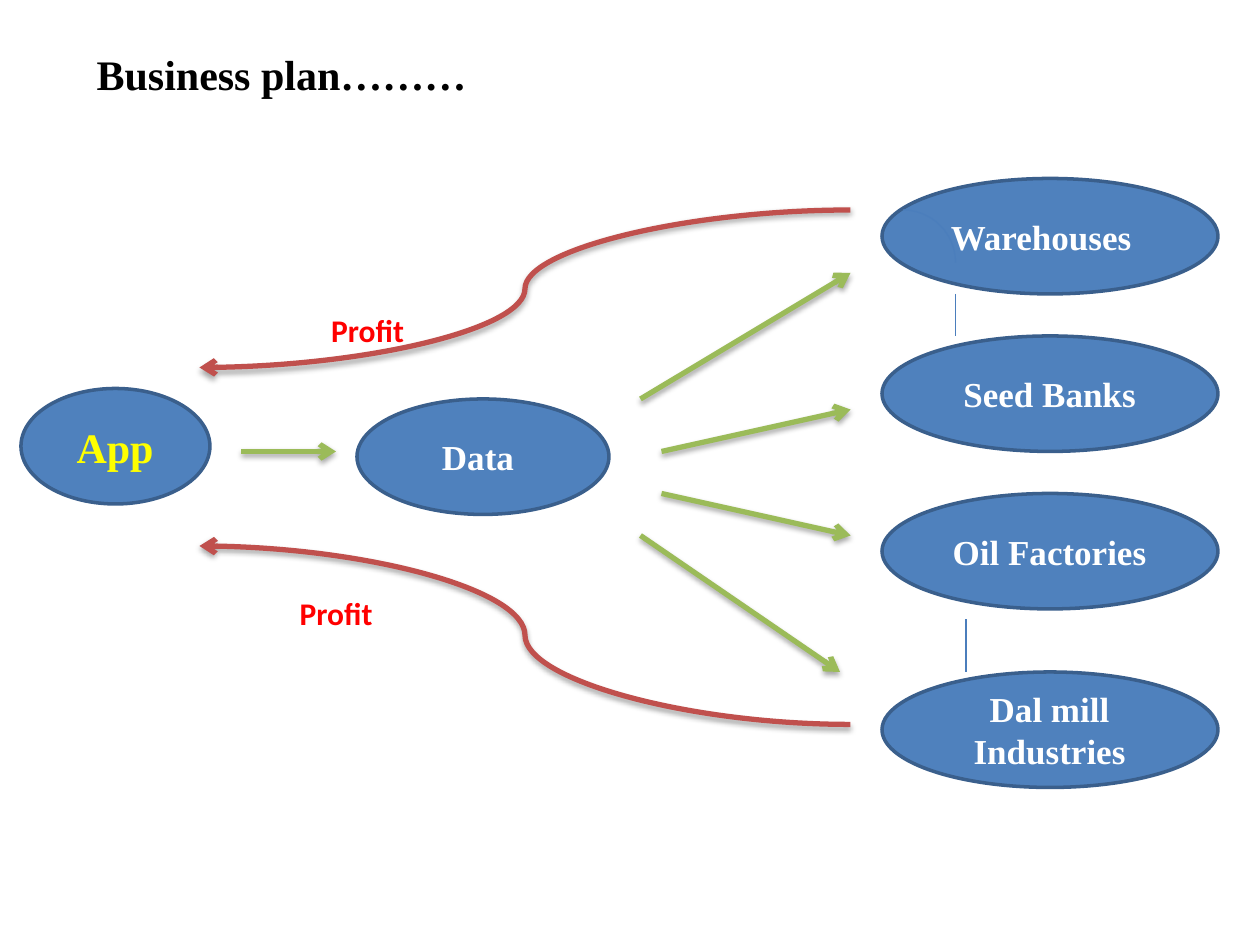
"""Build the business plan slide: app data flows to buyers and profit flows back."""
from lxml.etree import SubElement
from pptx import Presentation
from pptx.dml.color import RGBColor
from pptx.enum.shapes import MSO_CONNECTOR as LINK, MSO_SHAPE as SHAPE
from pptx.enum.text import MSO_ANCHOR as ANCHOR, PP_ALIGN as ALIGN
from pptx.oxml import parse_xml
from pptx.oxml.ns import nsdecls, qn
from pptx.util import Pt

PX = 9525
rgb = RGBColor.from_string
SHADOW = (
    f'<a:effectLst {nsdecls("a")}><a:outerShdw blurRad="40000" dist="23000" dir="5400000" '
    'rotWithShape="0"><a:srgbClr val="000000"><a:alpha val="35000"/></a:srgbClr>'
    '</a:outerShdw></a:effectLst>'
)


def write(shape, text, size, font, color, align):
    shape.text_frame.text = text
    paragraph = shape.text_frame.paragraphs[0]
    paragraph.alignment = align
    style = paragraph.runs[0].font
    style.size, style.name, style.bold = Pt(size), font, True
    style.color.rgb = rgb(color)


def connect(kind, ends, color, width, arrow):
    link = slide.shapes.add_connector(kind, *[value * PX for value in ends])
    link.line.color.rgb = rgb(color)
    link.line.width = Pt(width)
    properties = link._element.spPr
    if arrow:
        SubElement(properties.find(qn("a:ln")), qn("a:tailEnd"), type="arrow")
        properties.append(parse_xml(SHADOW))
    else:
        SubElement(properties, qn("a:effectLst"))


deck = Presentation()
deck.slide_width, deck.slide_height = 960 * PX, 720 * PX
slide = deck.slides.add_slide(deck.slide_layouts[5])

title = slide.shapes.title
title.left, title.top, title.width, title.height = [v * PX for v in (64, 32, 848, 48)]
write(title, "Business plan………", 24, "Times New Roman", "000000", ALIGN.LEFT)
title.text_frame.vertical_anchor = ANCHOR.TOP

stages = [
    ("App", 16, 296, 144, 24, "FFFF00", 10),
    ("Dal mill Industries", 672, 512, 256, 20, "FFFFFF", 10),
    ("Seed Banks", 672, 256, 256, 20, "FFFFFF", 10),
    ("Oil Factories", 672, 376, 256, 20, "FFFFFF", 10),
    ("Warehouses", 672, 136, 256, 20, "FFFFFF", 23),
    ("Data", 272, 304, 192, 20, "FFFFFF", 17),
]
for name, left, top, width, size, color, right_inset in stages:
    stage = slide.shapes.add_shape(SHAPE.OVAL, left * PX, top * PX, width * PX, 88 * PX)
    stage.shadow.inherit = False
    stage.fill.solid()
    stage.fill.fore_color.rgb = rgb("4F81BD")
    stage.line.color.rgb = rgb("3A5F8C")
    stage.line.width = Pt(2)
    write(stage, name, size, "Times New Roman", color, ALIGN.CENTER)
    stage.text_frame.vertical_anchor = ANCHOR.MIDDLE
    stage.text_frame.margin_right = right_inset * PX

data_flows = [
    (488, 304, 648, 208),
    (184, 344, 256, 344),
    (504, 344, 648, 312),
    (504, 376, 648, 408),
    (488, 408, 640, 512),
]
for ends in data_flows:
    connect(LINK.STRAIGHT, ends, "9BBB59", 3, True)

for ends in [(648, 552, 152, 416), (648, 160, 152, 280)]:
    connect(LINK.CURVE, ends, "C0504D", 3, True)

for left, top in [(200, 448), (224, 232)]:
    profit = slide.shapes.add_textbox(left * PX, top * PX, 112 * PX, 38 * PX)
    profit.text_frame.word_wrap = True
    write(profit, "Profit", 18, "Calibri", "FF0000", ALIGN.CENTER)

for ends in [(728, 224, 728, 256), (736, 472, 736, 512)]:
    connect(LINK.STRAIGHT, ends, "4B7EBC", 0.75, False)

arc = slide.shapes.add_shape(SHAPE.ARC, 648 * PX, 160 * PX, 80 * PX, 80 * PX)
arc.shadow.inherit = False
arc.fill.background()
arc.line.color.rgb = rgb("4B7EBC")
arc.line.width = Pt(0.75)

deck.save("out.pptx")
